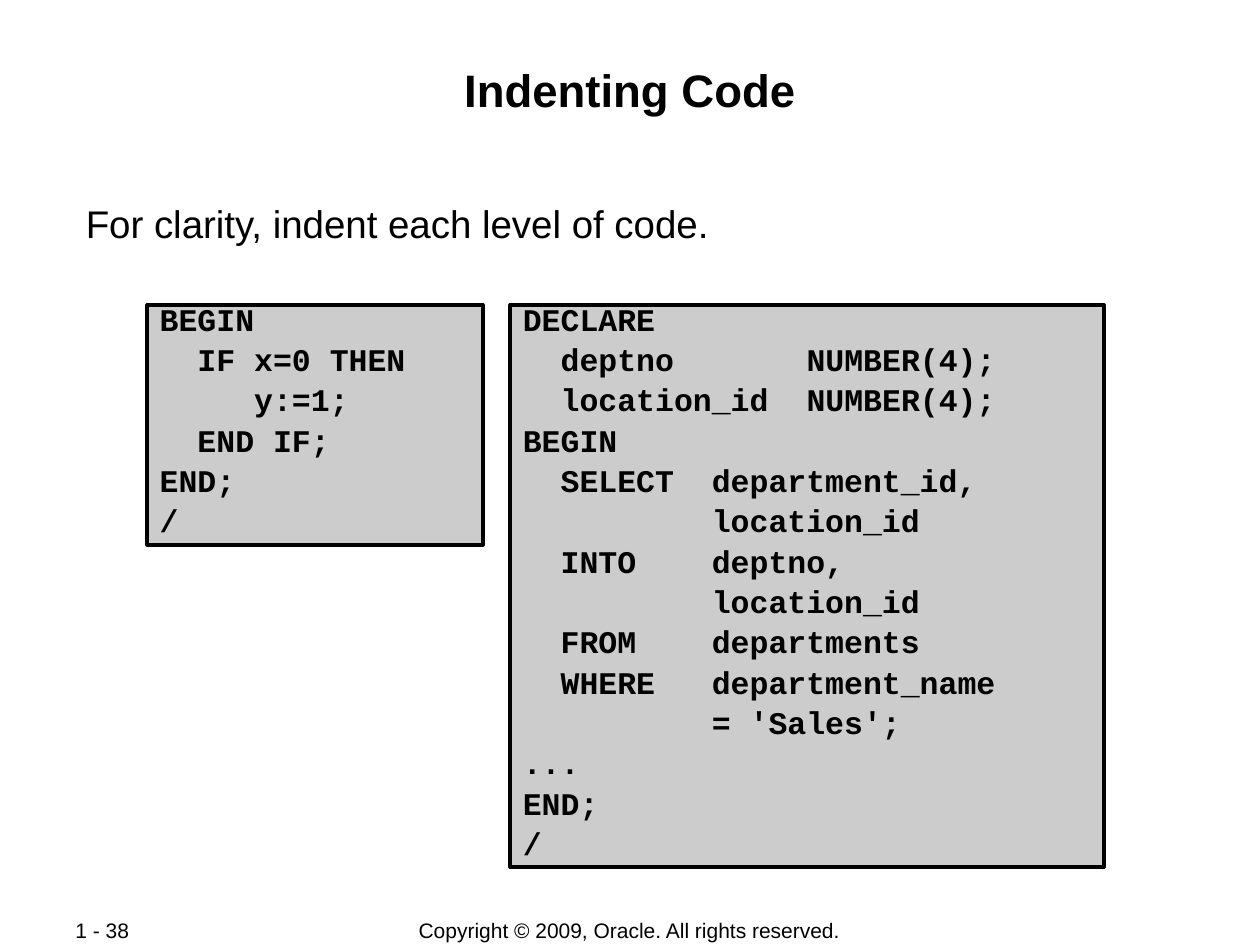
from dataclasses import dataclass

from pptx import Presentation
from pptx.dml.color import RGBColor
from pptx.enum.shapes import MSO_SHAPE as Shape
from pptx.enum.text import MSO_ANCHOR as Anchor, PP_ALIGN as Align
from pptx.oxml.ns import qn
from pptx.util import Cm, Pt
from lxml.etree import SubElement

COLORS = {"text": "000000", "code_fill": "CCCCCC", "code_line": "000000"}
CODE_TOP = 6.15
SQL_COLUMN, TYPE_COLUMN = 3.81, 5.72


@dataclass
class Box:
    left: float
    top: float
    width: float
    height: float
    inset_x: float = 0.25
    inset_y: float = 0.13


@dataclass
class CodeBlock:
    box: Box
    code: str


CODE_BLOCKS = [
    CodeBlock(Box(2.97, CODE_TOP, 6.76, 4.83), """BEGIN
  IF x=0 THEN
     y:=1;
  END IF;
END;
/"""),
    CodeBlock(Box(10.29, CODE_TOP, 11.96, 11.33), """DECLARE
  deptno\tNUMBER(4);
  location_id\tNUMBER(4);
BEGIN
  SELECT\tdepartment_id,
          location_id
  INTO\tdeptno,
          location_id
  FROM\tdepartments
  WHERE\tdepartment_name
          = 'Sales';
...
END;
/"""),
]


def rgb(name: str) -> RGBColor:
    return RGBColor.from_string(COLORS[name])


def add_tab_stop(p, position: float) -> None:
    tabs = SubElement(p._p.get_or_add_pPr(), qn("a:tabLst"))
    SubElement(tabs, qn("a:tab"), pos=str(Cm(position)), algn="l")


def write_text(sp, text: str, box: Box, *, size: float, font: str = "Arial",
               bold: bool = False, align=Align.LEFT, anchor=Anchor.TOP,
               wrap: bool = True, line_spacing: float = 1.0,
               space_before: float = 0) -> None:
    """Write one paragraph per line; a tab leads to the line's code column."""
    tf = sp.text_frame
    tf.word_wrap = wrap
    tf.vertical_anchor = anchor
    tf.margin_left = tf.margin_right = Cm(box.inset_x)
    tf.margin_top = tf.margin_bottom = Cm(box.inset_y)
    for i, line in enumerate(text.split("\n")):
        p = tf.add_paragraph() if i else tf.paragraphs[0]
        p.alignment = align
        p.line_spacing = line_spacing
        p.space_before = Pt(space_before if i else 0)
        if "\t" in line:
            add_tab_stop(p, TYPE_COLUMN if "NUMBER" in line else SQL_COLUMN)
        r = p.add_run()
        r.text = line
        r.font.name, r.font.size, r.font.bold = font, Pt(size), bold
        r.font.color.rgb = rgb("text")


def place(box: Box) -> tuple:
    return Cm(box.left), Cm(box.top), Cm(box.width), Cm(box.height)


def add_label(s, text: str, box: Box, **text_format) -> None:
    write_text(s.shapes.add_textbox(*place(box)), text, box, **text_format)


def add_code_block(s, block: CodeBlock) -> None:
    sp = s.shapes.add_shape(Shape.RECTANGLE, *place(block.box))
    sp.shadow.inherit = False
    sp.fill.solid()
    sp.fill.fore_color.rgb = rgb("code_fill")
    sp.line.color.rgb = rgb("code_line")
    sp.line.width = Pt(2.25)
    write_text(sp, block.code, block.box, size=18, font="Courier New",
               bold=True, line_spacing=0.65, space_before=9)


def main() -> None:
    prs = Presentation()
    prs.slide_width, prs.slide_height = Cm(25.4), Cm(19.05)
    s = prs.slides.add_slide(prs.slide_layouts[6])

    add_label(s, "Copyright © 2009, Oracle. All rights reserved.",
              Box(6.99, 18.49, 11.4, 0.53), size=12, align=Align.CENTER,
              anchor=Anchor.MIDDLE, wrap=False)
    add_label(s, "1 - 38", Box(1.27, 18.49, 2.69, 0.51), size=12,
              anchor=Anchor.MIDDLE, wrap=False)
    add_label(s, "Indenting Code", Box(1.7, 1.22, 22, 2.44, 0.03, 0.03),
              size=26, bold=True, align=Align.CENTER)
    add_label(s, "For clarity, indent each level of code.",
              Box(1.7, 4.01, 22, 2.13, 0.03, 0.03), size=22)
    for block in CODE_BLOCKS:
        add_code_block(s, block)

    prs.save("out.pptx")


if __name__ == "__main__":
    main()
